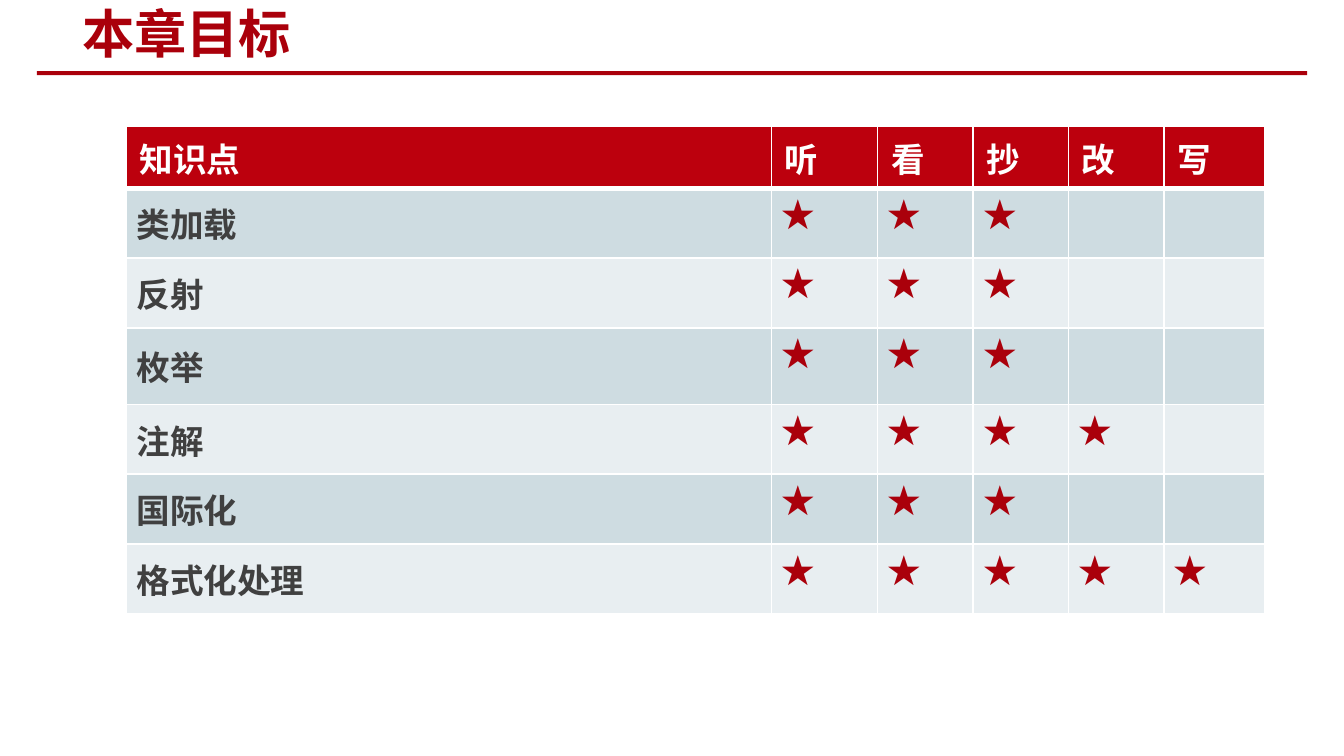
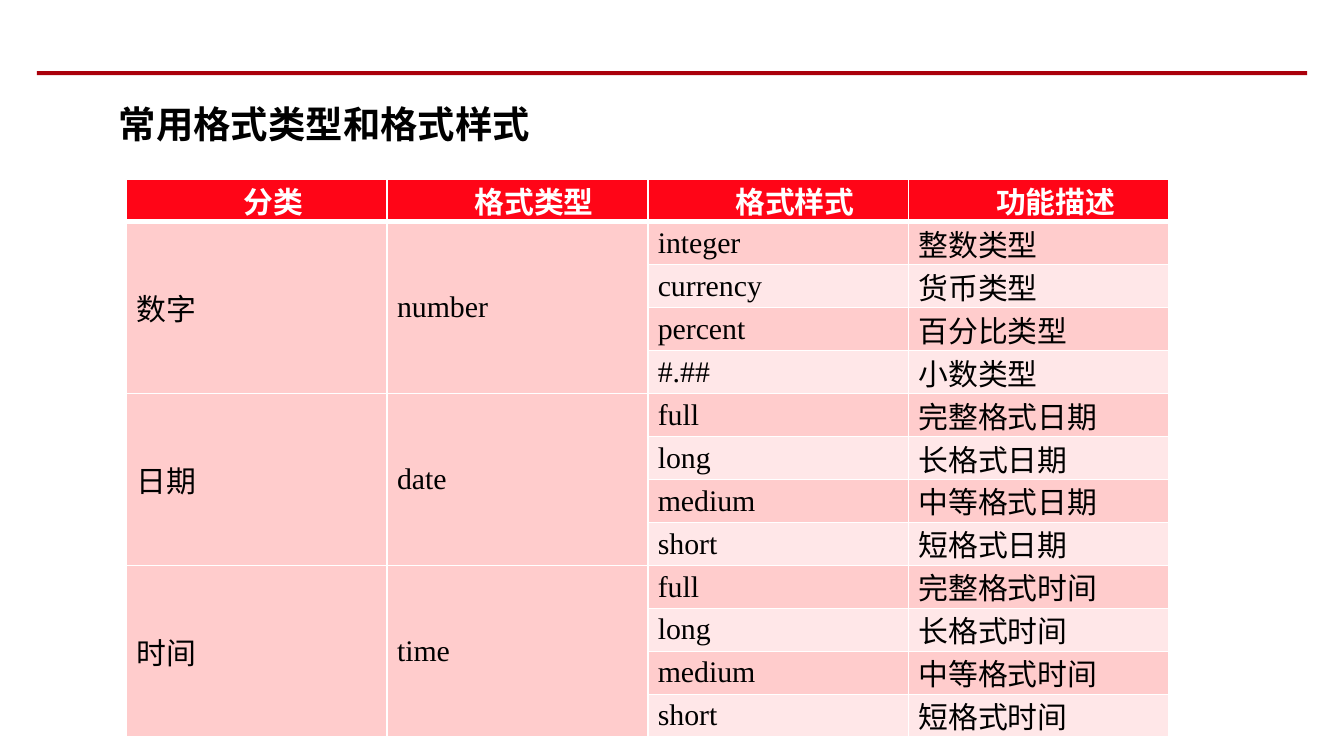
"""Builds two slides: the chapter goals and the common format types and styles."""
from lxml import etree
from pptx import Presentation
from pptx import util as u
from pptx.dml.color import RGBColor
from pptx.enum import shapes, text
from pptx.oxml.ns import qn

WIDTH = u.Inches(10)
HEIGHT = WIDTH * 9 // 16
CELL = WIDTH // 100
CJK = "Noto Sans CJK SC"
RED = RGBColor(0xAA, 0x00, 0x0B)
WHITE = RGBColor(0xFF, 0xFF, 0xFF)
BLACK = RGBColor(0x00, 0x00, 0x00)
GREY = RGBColor(0x40, 0x40, 0x40)
GOAL_HEAD = RGBColor(0xBC, 0x00, 0x0D)
GOAL_BANDS = RGBColor(0xCE, 0xDC, 0xE1), RGBColor(0xE8, 0xEE, 0xF1)
FORMAT_HEAD = RGBColor(0xFF, 0x05, 0x17)
FORMAT_BANDS = RGBColor(0xFF, 0xCC, 0xCC), RGBColor(0xFF, 0xE7, 0xE8)

LEVELS = ["听", "看", "抄", "改", "写"]
GOALS = {"类加载": 3, "反射": 3, "枚举": 3, "注解": 4, "国际化": 3, "格式化处理": 5}
FORMAT_TITLES = ["分类", "格式类型", "格式样式", "功能描述"]
NUMBER_STYLES = [("integer", "整数"), ("currency", "货币"), ("percent", "百分比"), ("#.##", "小数")]
TIME_STYLES = [("full", "完整格式"), ("long", "长格式"), ("medium", "中等格式"), ("short", "短格式")]
FORMATS = [
    ("数字", "number", NUMBER_STYLES, "类型"),
    ("日期", "date", TIME_STYLES, "日期"),
    ("时间", "time", TIME_STYLES, "时间"),
]


def grid(*units):
    return [round(n * CELL) for n in units]


def write(tf, words, size=18, font=CJK, color=BLACK, bold=True, align=None, indent=0):
    p = tf.paragraphs[0]
    p.alignment = align
    if indent:
        pPr = p._p.get_or_add_pPr()
        pPr.set("marL", "0")
        pPr.set("indent", str(u.Inches(indent)))
    r = p.add_run()
    r.text = words
    r.font.size = u.Pt(size)
    r.font.name = font
    r.font.bold = bold
    r.font.color.rgb = color
    etree.SubElement(r._r.get_or_add_rPr(), qn("a:ea"), typeface=CJK)


class Deck:
    def __init__(self):
        self.prs = Presentation()
        self.prs.slide_width, self.prs.slide_height = WIDTH, HEIGHT
        self.s = None

    def slide(self):
        self.s = self.prs.slides.add_slide(self.prs.slide_layouts[6])
        sp = self.s.shapes.add_shape(shapes.MSO_SHAPE.RECTANGLE, *grid(2.75, 5.3, 94.5, 0.3))
        sp.shadow.inherit = False
        sp.fill.solid()
        sp.fill.fore_color.rgb = RED
        sp.line.fill.background()

    def label(self, box, words, **style):
        tf = self.s.shapes.add_textbox(*grid(*box)).text_frame
        tf.word_wrap = True
        tf.vertical_anchor = text.MSO_ANCHOR.MIDDLE
        write(tf, words, **style)

    def table(self, left, top, cols, rows, head, bands):
        box = grid(left, top, sum(cols), sum(rows))
        tb = self.s.shapes.add_table(len(rows), len(cols), *box).table
        for col, width in zip(tb.columns, grid(*cols)):
            col.width = width
        for i, (row, height) in enumerate(zip(tb.rows, grid(*rows))):
            row.height = height
            for cell in row.cells:
                self.borders(cell, top=3 if i == 1 else 1, bottom=3 if i == 0 else 1)
                cell.fill.solid()
                cell.fill.fore_color.rgb = bands[(i - 1) % 2] if i else head
                cell.margin_left = cell.margin_right = u.Pt(5.4)
                cell.margin_top = cell.margin_bottom = 0
        return tb

    def borders(self, cell, top, bottom):
        tcPr = cell._tc.get_or_add_tcPr()
        for side, width in zip("LRTB", (1, 1, top, bottom)):
            ln = etree.SubElement(tcPr, qn(f"a:ln{side}"), w=str(u.Pt(width)))
            fill = etree.SubElement(ln, qn("a:solidFill"))
            etree.SubElement(fill, qn("a:srgbClr"), val=str(WHITE))

    def cell(self, cell, words, middle=True, **style):
        if middle:
            cell.vertical_anchor = text.MSO_ANCHOR.MIDDLE
        write(cell.text_frame, words, **style)


def goals(deck):
    deck.slide()
    deck.label((5.15, 0.2, 53, 4.5), "本章目标", size=28, color=RED)
    tb = deck.table(9.4, 9.4, [48, 7.9, 7.1, 7.1, 7.1, 7.5],
                    [4.6, 5.2, 5.2, 5.7, 5.2, 5.2, 5.2], GOAL_HEAD, GOAL_BANDS)
    for j, words in enumerate(["知识点"] + LEVELS):
        cell = tb.cell(0, j)
        cell.margin_left = cell.margin_right = u.Inches(0.1)
        cell.margin_top = cell.margin_bottom = u.Inches(0.05)
        deck.cell(cell, words, middle=False, color=WHITE)
    for i, (topic, stars) in enumerate(GOALS.items(), 1):
        deck.cell(tb.cell(i, 0), topic, color=GREY)
        for j in range(1, stars + 1):
            deck.cell(tb.cell(i, j), "★", middle=False, color=RED)


def formats(deck):
    deck.slide()
    tb = deck.table(9.4, 13.3, [19.4] * 4, [3.2] * 13, FORMAT_HEAD, FORMAT_BANDS)
    for j, words in enumerate(FORMAT_TITLES):
        deck.cell(tb.cell(0, j), words, middle=j > 0, size=16, font="Calibri",
                  color=WHITE, align=text.PP_ALIGN.CENTER, indent=0.25)
    body = dict(size=16, font="Times New Roman", bold=False, align=text.PP_ALIGN.JUSTIFY)
    for k, (kind, name, styles, ending) in enumerate(FORMATS):
        first = 1 + k * len(styles)
        for j, words in enumerate((kind, name)):
            tb.cell(first, j).merge(tb.cell(first + len(styles) - 1, j))
            deck.cell(tb.cell(first, j), words, **body)
        for i, (style, meaning) in enumerate(styles, first):
            deck.cell(tb.cell(i, 2), style, **body)
            deck.cell(tb.cell(i, 3), meaning + ending, **body)
    deck.label((7.85, 7, 59.4, 4.4), "常用格式类型和格式样式", size=20)


def main():
    deck = Deck()
    goals(deck)
    formats(deck)
    deck.prs.save("out.pptx")


if __name__ == "__main__":
    main()
